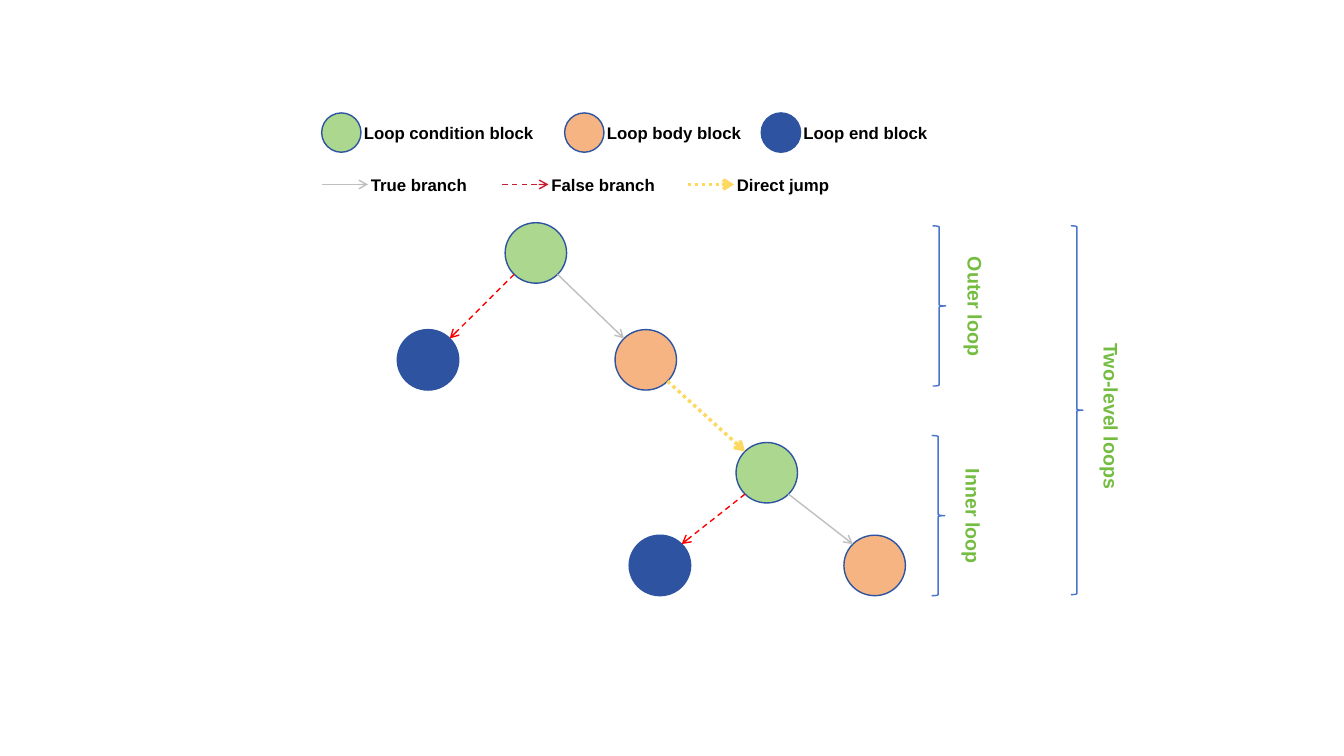
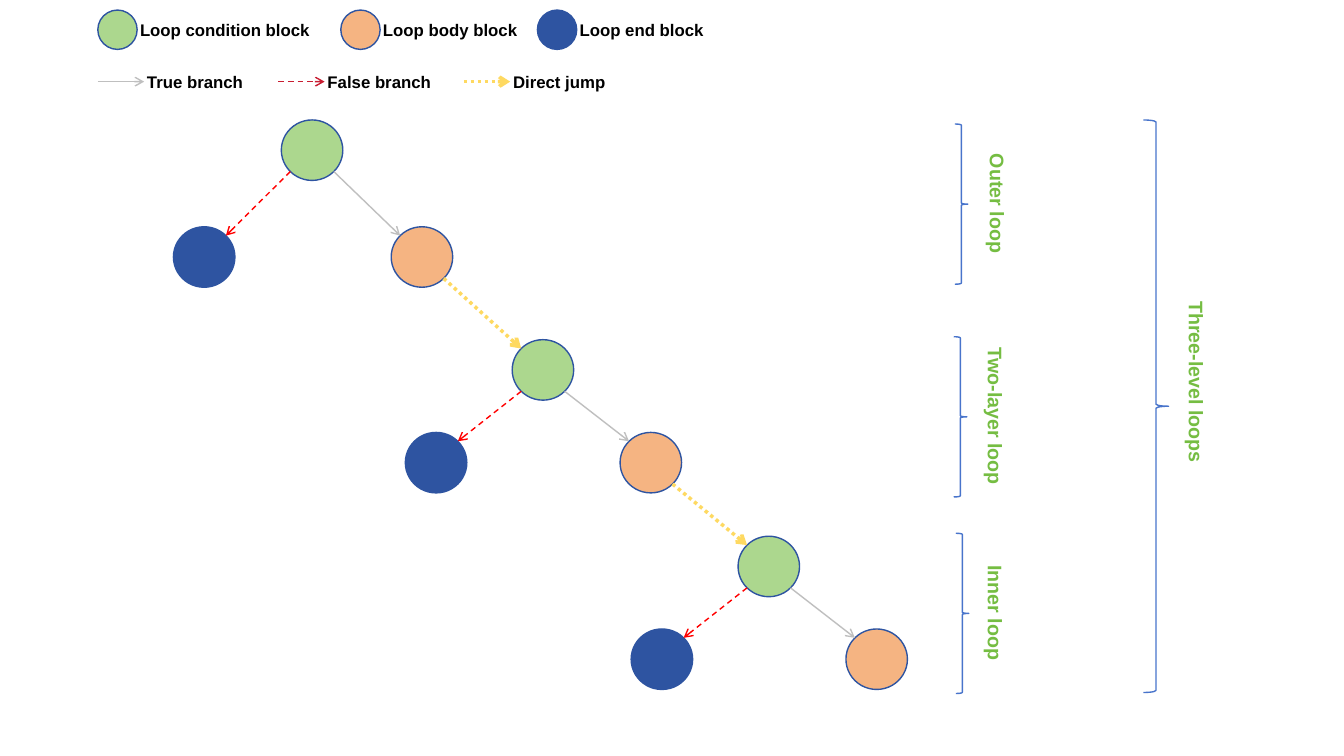
import pptx
import pptx.util
import pptx.dml.color
import pptx.enum.dml
import pptx.enum.shapes
import pptx.enum.text
import pptx.oxml.ns
import lxml.etree
from dataclasses import dataclass

Inch = pptx.util.Inches
Pt = pptx.util.Pt
Dash = pptx.enum.dml.MSO_LINE
Kind = pptx.enum.shapes.MSO_SHAPE
Align = pptx.enum.text.PP_ALIGN


@dataclass(frozen=True)
class Theme:
    font: str = "Arial"
    small: int = 12
    large: int = 14
    thin: float = 1
    thick: float = 2.5
    ink: str = "000000"
    label: str = "75BD42"
    brace: str = "4874CB"
    rim: str = "2E54A1"
    cond: str = "ACD78E"
    body: str = "F5B482"
    end: str = "2E54A1"
    true: str = "BFBFBF"
    false: str = "FF0000"
    key: str = "C81D31"
    jump: str = "FED961"


T = Theme()
WIDE, HIGH = 13.33, 7.5
NODE = (0.61, 0.6)
DOT = 0.39
DASH = 0.46
SPAN = 1.59
THIN = 0.13
TAG = (1.88, 0.34)
START = (1.82, 1.09)

TRUE = (T.true, T.thin, None)
FALSE = (T.false, T.thin, Dash.DASH)
KEY = (T.key, T.thin, Dash.DASH)
JUMP = (T.jump, T.thick, Dash.ROUND_DOT)

BLOCKS = [
    (0, "Loop condition block", T.cond),
    (2.41, "Loop body block", T.body),
    (4.36, "Loop end block", T.end),
]
LINKS = [
    (0, "True branch", 1.23, TRUE),
    (1.79, "False branch", 1.33, KEY),
    (3.63, "Direct jump", 1.23, JUMP),
]

FIRST = {"end": (-1.07, 1.06), "body": (1.09, 1.06), "next": (2.29, 2.18)}
LATER = {"end": (-1.06, 0.92), "body": (1.07, 0.92), "next": (2.24, 1.95)}

SLIDES = [
    {
        "origin": (3.19, 1.12),
        "levels": [FIRST, LATER],
        "spans": [
            ("Outer loop", (9.25, 2.24, THIN, SPAN), (9.67, 3.04), TAG),
            ("Inner loop", (9.24, 4.32, THIN, SPAN), (9.65, 5.12), TAG),
            ("Two-level loops", (10.62, 2.24, 0.12, 3.66), (11.02, 4.13), TAG),
        ],
    },
    {
        "origin": (0.97, 0.1),
        "levels": [FIRST, LATER, LATER],
        "spans": [
            ("Outer loop", (9.47, 1.23, THIN, SPAN), (9.89, 2.02), TAG),
            ("Two-layer loop", (9.46, 3.34, THIN, SPAN), (9.87, 4.13), TAG),
            ("Inner loop", (9.48, 5.29, THIN, SPAN), (9.87, 6.08), TAG),
            ("Three-level loops", (11.34, 1.19, 0.25, 5.68), (11.69, 3.79), (2.92, 0.69)),
        ],
    },
]


def tint(code):
    return pptx.dml.color.RGBColor.from_string(code)


def shape(slide, kind, box, line, fill=None):
    item = slide.shapes.add_shape(kind, *map(Inch, box))
    item.shadow.inherit = False
    if fill:
        item.fill.solid()
        item.fill.fore_color.rgb = tint(fill)
    else:
        item.fill.background()
    item.line.color.rgb = tint(line)
    item.line.width = Pt(T.thin)


def arrow(slide, start, stop, style):
    color, width, dash = style
    item = slide.shapes.add_connector(
        pptx.enum.shapes.MSO_CONNECTOR.STRAIGHT, *map(Inch, (*start, *stop)))
    item.line.color.rgb = tint(color)
    item.line.width = Pt(width)
    if dash:
        item.line.dash_style = dash
    tag = pptx.oxml.ns.qn
    lxml.etree.SubElement(item.line._get_or_add_ln(), tag("a:tailEnd"), type="arrow")
    lxml.etree.SubElement(item._element.spPr, tag("a:effectLst"))


def text(slide, words, box, size, color, align=Align.LEFT, turn=0):
    item = slide.shapes.add_textbox(*map(Inch, box))
    item.rotation = turn
    item.text_frame.word_wrap = True
    para = item.text_frame.paragraphs[0]
    para.text = words
    para.alignment = align
    para.font.name = T.font
    para.font.size = Pt(size)
    para.font.bold = True
    para.font.color.rgb = tint(color)


def shift(spot, step):
    return spot[0] + step[0], spot[1] + step[1]


def rim(spot, across, down):
    reach = 0.5 ** 0.5
    return tuple(at + size / 2 * (1 + way * reach)
                 for at, size, way in zip(spot, NODE, (across, down)))


def legend(slide, origin):
    left, top = origin
    for step, words, fill in BLOCKS:
        shape(slide, Kind.OVAL, (left + step, top, DOT, DOT), T.rim, fill)
        text(slide, words, (left + step + 0.32, top + 0.05, 2.02, 0.3), T.small, T.ink)
    mid = top + 0.71
    for step, words, width, style in LINKS:
        x = left + step
        arrow(slide, (x, mid), (x + DASH, mid), style)
        text(slide, words, (x + DASH - 0.07, mid - 0.15, width, 0.3), T.small, T.ink)


def tree(slide, origin, levels):
    spot = shift(origin, START)
    last = None
    for level in levels:
        end, body = shift(spot, level["end"]), shift(spot, level["body"])
        for place, fill in ((spot, T.cond), (end, T.end), (body, T.body)):
            shape(slide, Kind.OVAL, (*place, *NODE), T.rim, fill)
        arrow(slide, rim(spot, -1, 1), rim(end, 1, -1), FALSE)
        arrow(slide, rim(spot, 1, 1), rim(body, -1, -1), TRUE)
        if last:
            arrow(slide, rim(last, 1, 1), rim(spot, -1, -1), JUMP)
        last, spot = body, shift(spot, level["next"])


def spans(slide, rows):
    for words, box, (x, y), (wide, high) in rows:
        shape(slide, Kind.RIGHT_BRACE, box, T.brace)
        text(slide, words, (x - wide / 2, y - high / 2, wide, high),
             T.large, T.label, Align.CENTER, 90)


def main():
    deck = pptx.Presentation()
    deck.slide_width, deck.slide_height = Inch(WIDE), Inch(HIGH)
    for page in SLIDES:
        slide = deck.slides.add_slide(deck.slide_layouts[6])
        tree(slide, page["origin"], page["levels"])
        spans(slide, page["spans"])
        legend(slide, page["origin"])
    deck.save("out.pptx")


if __name__ == "__main__":
    main()
